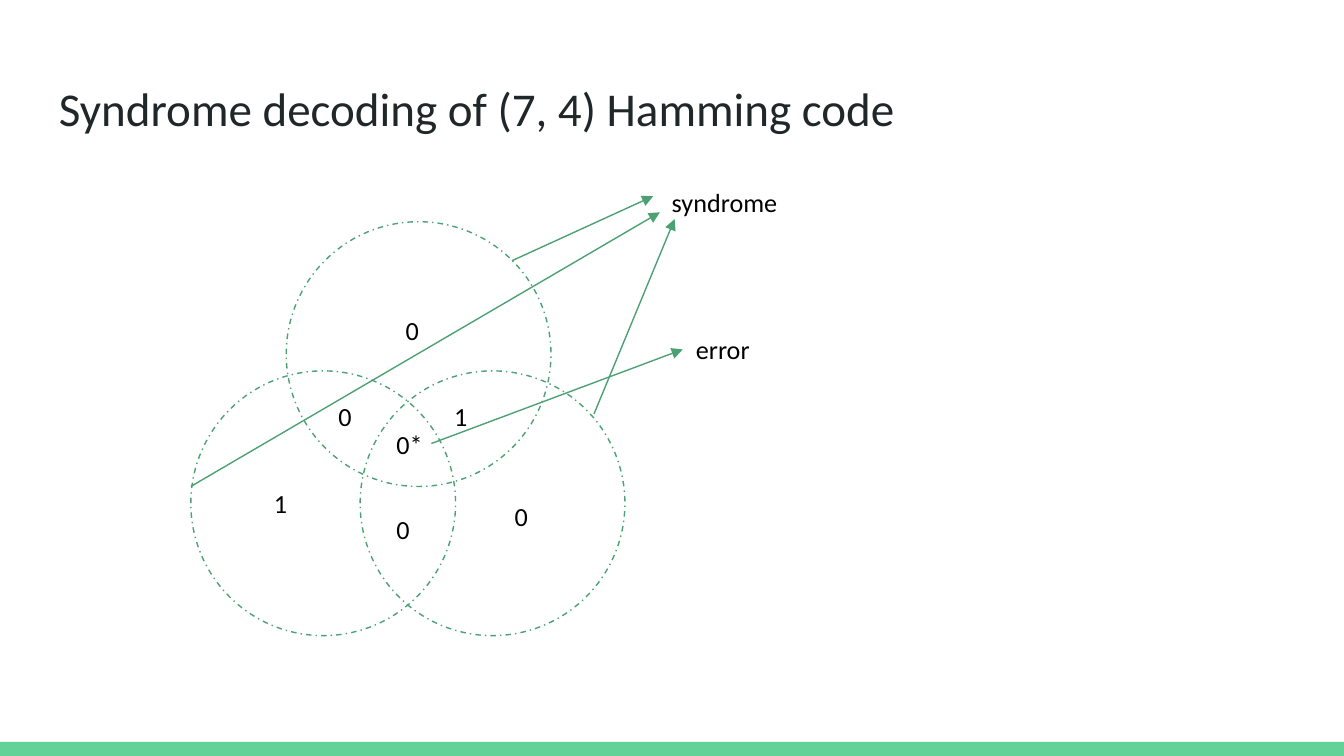
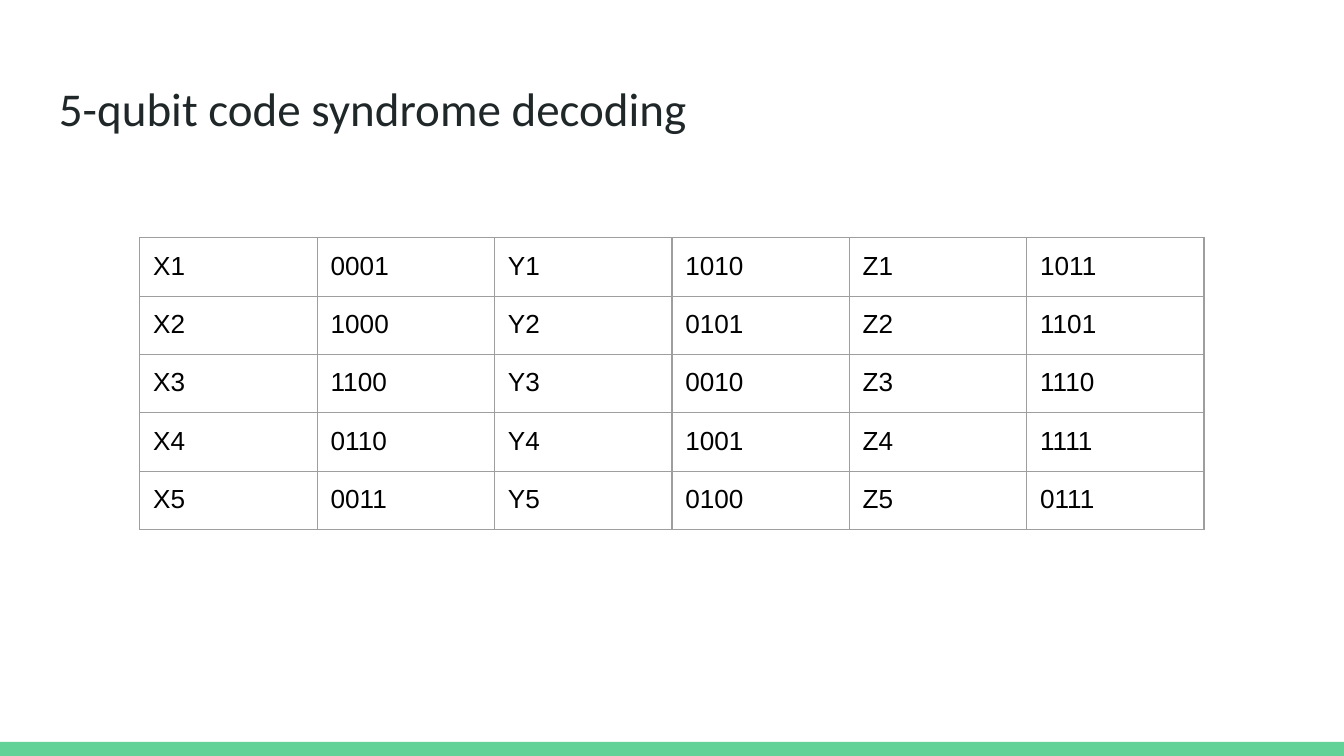
from dataclasses import dataclass

from lxml.etree import SubElement
from pptx import Presentation
from pptx.dml.color import RGBColor
from pptx.enum.dml import MSO_LINE
from pptx.enum.shapes import MSO_CONNECTOR, MSO_SHAPE
from pptx.enum.text import MSO_ANCHOR, MSO_AUTO_SIZE, PP_ALIGN
from pptx.oxml.ns import qn
from pptx.util import Emu, Pt

EMU_PER_PX = 4572  # 200 px to the inch
SLIDE_WIDTH, SLIDE_HEIGHT = 2000, 1125


@dataclass(frozen=True)
class Theme:
    background: str = "FFFFFF"
    band: str = "63D297"
    outline: str = "4BA173"
    title: str = "202729"
    text: str = "000000"
    border: str = "9E9E9E"
    font: str = "Calibri"
    table_font: str = "Arial"
    title_size: float = 25.2
    text_size: float = 14
    line_width: float = 0.75
    inset: int = 20


def px(length):
    return Emu(length * EMU_PER_PX)


def rgb(color):
    return RGBColor.from_string(color)


class Deck:
    def __init__(self, theme):
        self.theme = theme
        self.presentation = Presentation()
        self.presentation.slide_width = px(SLIDE_WIDTH)
        self.presentation.slide_height = px(SLIDE_HEIGHT)
        self.slide = None

    def add_slide(self, title):
        self.slide = self.presentation.slides.add_slide(
            self.presentation.slide_layouts[6])
        fill = self.slide.background.fill
        fill.solid()
        fill.fore_color.rgb = rgb(self.theme.background)
        self.band()
        self.text(title, 68, 98, 1864, 126,
                  size=self.theme.title_size, color=self.theme.title)

    def band(self, height=21):
        shape = self.slide.shapes.add_shape(
            MSO_SHAPE.RECTANGLE, px(0), px(SLIDE_HEIGHT - height),
            px(SLIDE_WIDTH), px(height))
        shape.shadow.inherit = False
        shape.fill.solid()
        shape.fill.fore_color.rgb = rgb(self.theme.band)
        shape.line.fill.background()

    def run(self, paragraph, text, font, size, color):
        paragraph.alignment = PP_ALIGN.LEFT
        run = paragraph.add_run()
        run.text = text
        run.font.name = font
        run.font.size = Pt(size)
        run.font.color.rgb = rgb(color)

    def set_insets(self, holder):
        for side in ("left", "top", "right", "bottom"):
            setattr(holder, f"margin_{side}", px(self.theme.inset))

    def text(self, text, left, top, width, height, size, color):
        box = self.slide.shapes.add_textbox(
            px(left), px(top), px(width), px(height))
        frame = box.text_frame
        frame.word_wrap = True
        frame.vertical_anchor = MSO_ANCHOR.TOP
        self.set_insets(frame)
        self.run(frame.paragraphs[0], text, self.theme.font, size, color)
        return frame

    def label(self, text, left, top, width):
        frame = self.text(text, left, top, width, 88,
                          self.theme.text_size, self.theme.text)
        frame.auto_size = MSO_AUTO_SIZE.SHAPE_TO_FIT_TEXT

    def style_line(self, line):
        line.color.rgb = rgb(self.theme.outline)
        line.width = Pt(self.theme.line_width)

    def circle(self, left, top, diameter):
        shape = self.slide.shapes.add_shape(
            MSO_SHAPE.OVAL, px(left), px(top), px(diameter), px(diameter))
        shape.shadow.inherit = False
        shape.fill.background()
        self.style_line(shape.line)
        shape.line.dash_style = MSO_LINE.DASH_DOT

    def arrow(self, start, end):
        connector = self.slide.shapes.add_connector(
            MSO_CONNECTOR.STRAIGHT, *map(px, start + end))
        self.style_line(connector.line)
        properties = connector.element.spPr
        SubElement(properties.find(qn("a:ln")), qn("a:tailEnd"), type="triangle")
        SubElement(properties, qn("a:effectLst"))

    def border(self, cell):
        properties = cell._tc.get_or_add_tcPr()
        for position, side in enumerate(("lnL", "lnR", "lnT", "lnB")):
            line = SubElement(properties, qn(f"a:{side}"),
                              w=str(Pt(self.theme.line_width)))
            fill = SubElement(line, qn("a:solidFill"))
            SubElement(fill, qn("a:srgbClr"), val=self.theme.border)
            properties.insert(position, line)

    def table(self, rows, left, top, column_width, row_height):
        columns = len(rows[0])
        table = self.slide.shapes.add_table(
            len(rows), columns, px(left), px(top),
            px(columns * column_width), px(len(rows) * row_height)).table
        table.first_row = table.horz_banding = False
        for column in table.columns:
            column.width = px(column_width)
        for row, values in zip(table.rows, rows):
            row.height = px(row_height)
            for cell, value in zip(row.cells, values):
                cell.fill.background()
                self.set_insets(cell)
                self.border(cell)
                self.run(cell.text_frame.paragraphs[0], value,
                         self.theme.table_font, self.theme.text_size,
                         self.theme.text)


def add_hamming_slide(deck):
    deck.add_slide("Syndrome decoding of (7, 4) Hamming code")

    # Parity circles
    for left, top in ((284, 552), (426, 330), (536, 552)):
        deck.circle(left, top, 394)

    # Bits in the regions
    for bit, left, top, width in (
            ("0", 584, 448, 58), ("1", 388, 706, 58), ("0", 746, 724, 84),
            ("0", 484, 576, 1416), ("1", 656, 576, 1344),
            ("0*", 570, 618, 84), ("0", 570, 744, 98)):
        deck.label(bit, left, top, width)

    # Callouts
    for start, end in (((762, 388), (972, 292)), ((884, 616), (1004, 326)),
                       ((284, 724), (982, 316)), ((642, 660), (1016, 520))):
        deck.arrow(start, end)
    deck.label("syndrome", 980, 258, 248)
    deck.label("error", 1016, 476, 248)


def add_qubit_slide(deck):
    deck.add_slide("5-qubit code syndrome decoding")

    # Syndrome of each single-qubit error
    syndromes = {
        "X": ("0001", "1000", "1100", "0110", "0011"),
        "Y": ("1010", "0101", "0010", "1001", "0100"),
        "Z": ("1011", "1101", "1110", "1111", "0111"),
    }
    rows = [[value for error, codes in syndromes.items()
             for value in (f"{error}{qubit + 1}", codes[qubit])]
            for qubit in range(5)]
    deck.table(rows, left=208, top=354, column_width=264, row_height=84)


def main():
    deck = Deck(Theme())
    add_hamming_slide(deck)
    add_qubit_slide(deck)
    deck.presentation.save("out.pptx")


if __name__ == "__main__":
    main()
